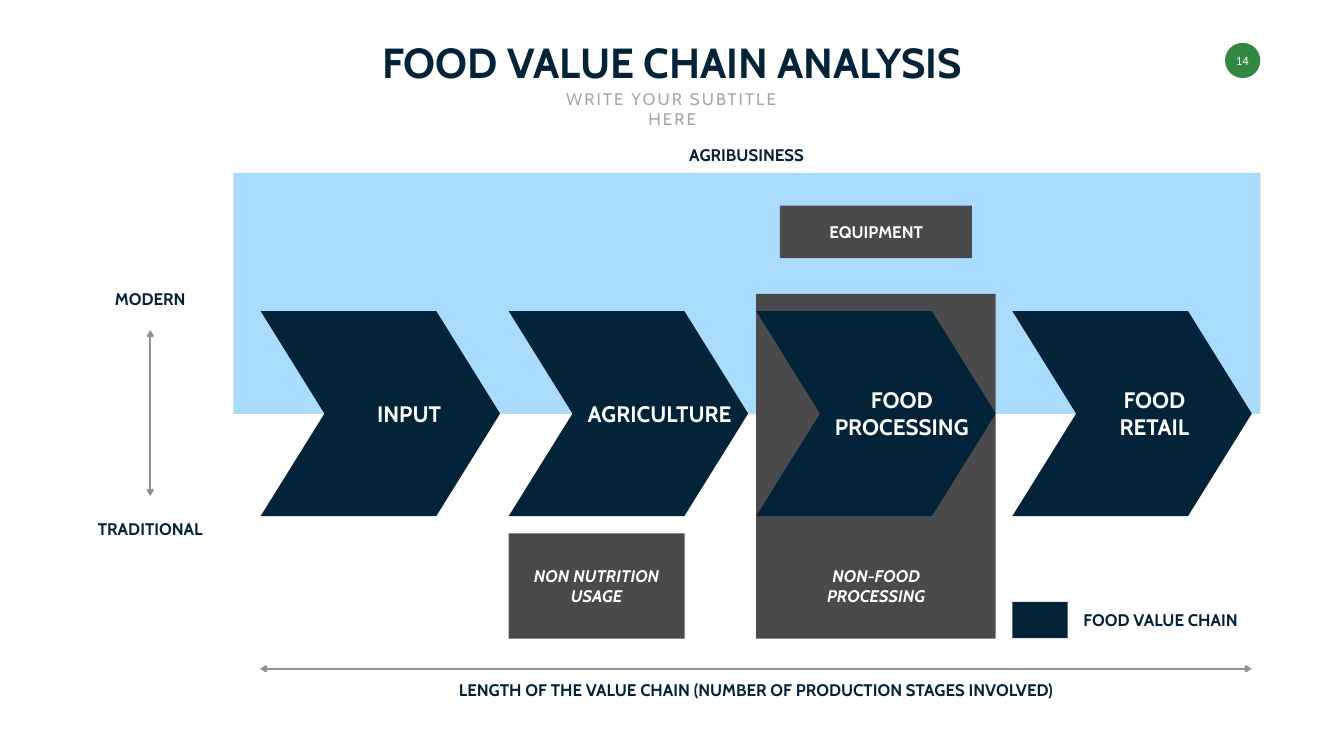
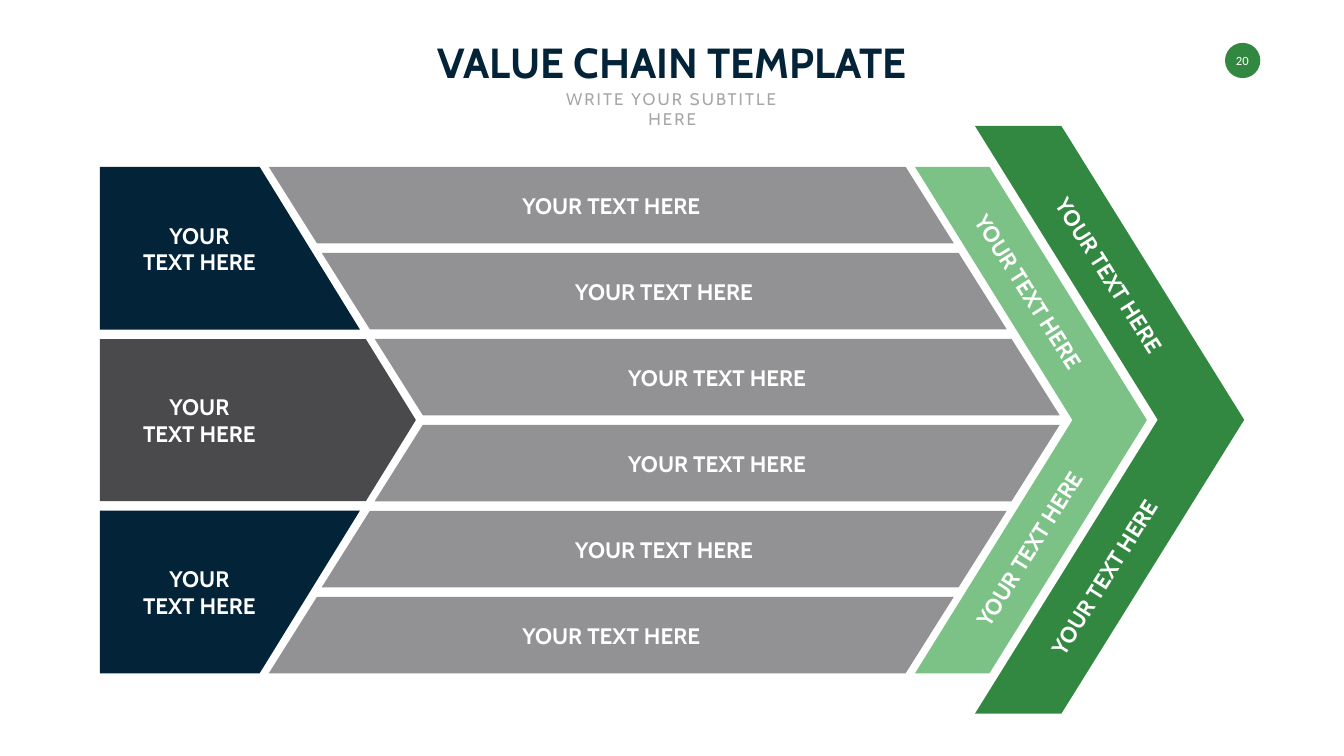
from lxml.etree import SubElement
from pptx import Presentation
from pptx.dml.color import RGBColor
from pptx.enum.shapes import MSO_CONNECTOR, MSO_SHAPE
from pptx.enum.text import MSO_ANCHOR, MSO_AUTO_SIZE, PP_ALIGN
from pptx.oxml.ns import qn
from pptx.util import Pt

NAVY = RGBColor(0x02, 0x23, 0x38)
CHARCOAL = RGBColor(0x4A, 0x4A, 0x4C)
GRAY = RGBColor(0x92, 0x92, 0x94)
PALE_GRAY = RGBColor(0xA6, 0xA6, 0xA6)
GREEN = RGBColor(0x32, 0x88, 0x40)
LIGHT_GREEN = RGBColor(0x7C, 0xC2, 0x87)
SKY = RGBColor(0xA8, 0xDB, 0xFC)
WHITE = RGBColor(0xFF, 0xFF, 0xFF)

TITLE = {"name": "Cabin", "size": Pt(60), "bold": True}
HEADING = {"name": "Cabin", "size": Pt(32), "bold": True}
LABEL = {"name": "Cabin", "size": Pt(24), "bold": True}
NOTE = {**LABEL, "italic": True}
SUBTITLE = {"name": "Cabin", "size": Pt(24)}
NUMBER = {"name": "Calibri", "size": Pt(18)}

SLIDE_WIDTH, SLIDE_HEIGHT = 1919.5, 1080
LINE_SPACING = 1.215
INSETS = 7.2


class Deck:
    """Holds the shared style and the slide being drawn."""

    def __init__(self):
        self.presentation = Presentation()
        self.presentation.slide_width = Pt(SLIDE_WIDTH)
        self.presentation.slide_height = Pt(SLIDE_HEIGHT)
        self.slide = None

    def start_slide(self, title, title_width, number):
        self.slide = self.presentation.slides.add_slide(self.presentation.slide_layouts[6])
        self.shape(MSO_SHAPE.OVAL, 1749.6, 61.2, 50.4, 50.4, GREEN)
        self.text(number, 1774.4, 86.4, 41, NUMBER)
        self.text(title, 959.8, 88.2, title_width, TITLE, NAVY, anchor=MSO_ANCHOR.TOP)
        self.text("WRITE YOUR SUBTITLE HERE", 960, 141.8, 391, SUBTITLE, PALE_GRAY,
                  anchor=MSO_ANCHOR.TOP, wrap=True, spacing=3)

    def paint(self, shape, color):
        shape.shadow.inherit = False
        shape.fill.solid()
        shape.fill.fore_color.rgb = color
        shape.line.fill.background()

    def shape(self, kind, left, top, width, height, color, adjustment=None, flip=False):
        shape = self.slide.shapes.add_shape(kind, Pt(left), Pt(top), Pt(width), Pt(height))
        self.paint(shape, color)
        if adjustment is not None:
            shape.adjustments[0] = adjustment
        if flip:
            shape._element.spPr.find(qn("a:xfrm")).set("flipV", "1")

    def outline(self, points, color):
        start, *others = [(Pt(x), Pt(y)) for x, y in points]
        builder = self.slide.shapes.build_freeform(*start)
        builder.add_line_segments(others, close=True)
        self.paint(builder.convert_to_shape(), color)

    def text(self, text, center_x, center_y, width, style, color=WHITE, align=PP_ALIGN.CENTER,
             anchor=MSO_ANCHOR.MIDDLE, wrap=False, rotation=0, spacing=0):
        """Place a text box by its centre; its height follows from the lines."""
        lines = text.split("\n")
        height = len(lines) * style["size"].pt * LINE_SPACING + INSETS
        box = self.slide.shapes.add_textbox(
            Pt(center_x - width / 2), Pt(center_y - height / 2), Pt(width), Pt(height))
        box.rotation = rotation
        frame = box.text_frame
        frame.word_wrap = wrap
        frame.auto_size = MSO_AUTO_SIZE.SHAPE_TO_FIT_TEXT
        frame.vertical_anchor = anchor
        for index, line in enumerate(lines):
            paragraph = frame.add_paragraph() if index else frame.paragraphs[0]
            paragraph.alignment = align
            run = paragraph.add_run()
            run.text = line
            for attribute, value in style.items():
                setattr(run.font, attribute, value)
            run.font.color.rgb = color
            if spacing:
                run._r.get_or_add_rPr().set("spc", str(spacing * 100))

    def double_arrow(self, x1, y1, x2, y2):
        connector = self.slide.shapes.add_connector(
            MSO_CONNECTOR.STRAIGHT, Pt(x1), Pt(y1), Pt(x2), Pt(y2))
        connector.line.color.rgb = GRAY
        connector.line.width = Pt(3)
        line = connector.line._get_or_add_ln()
        for end in ("a:headEnd", "a:tailEnd"):
            SubElement(line, qn(end), type="arrow")
        SubElement(connector._element.spPr, qn("a:effectLst"))


def draw_food_chain(deck):
    deck.start_slide("FOOD VALUE CHAIN ANALYSIS", 914, "14")
    deck.shape(MSO_SHAPE.RECTANGLE, 333.4, 247, 1466.6, 344.2, SKY)
    deck.shape(MSO_SHAPE.RECTANGLE, 1080, 419.8, 342, 492.5, CHARCOAL)

    stages = [
        ("INPUT", 372.2, 584.3, 110),
        ("AGRICULTURE", 726.5, 942.1, 241),
        ("FOOD\nPROCESSING", 1080, 1288, 222),
        ("FOOD\nRETAIL", 1445.8, 1648.8, 121),
    ]
    for name, left, center, width in stages:
        deck.shape(MSO_SHAPE.CHEVRON, left, 444.4, 342, 293, NAVY, 0.311)
        deck.text(name, center, 590.6, width, HEADING)

    deck.shape(MSO_SHAPE.RECTANGLE, 726.5, 761.8, 251.3, 150.5, CHARCOAL)
    deck.shape(MSO_SHAPE.RECTANGLE, 1113.8, 293.8, 274.3, 74.9, CHARCOAL)
    deck.text("EQUIPMENT", 1251.4, 331.2, 154, LABEL)
    deck.text("NON-FOOD\nPROCESSING", 1251.4, 837, 170, NOTE)
    deck.text("NON NUTRITION\nUSAGE", 852.1, 837, 207, NOTE)

    deck.shape(MSO_SHAPE.RECTANGLE, 1445.8, 859.7, 79.2, 51.8, NAVY)
    deck.text("FOOD VALUE CHAIN", 1665.4, 885.6, 250.6, LABEL, NAVY, align=PP_ALIGN.LEFT)

    axis_labels = [
        ("AGRIBUSINESS", 1066.3, 221.8, 190),
        ("TRADITIONAL", 214.6, 755.3, 176),
        ("MODERN", 214.6, 426.2, 120),
        ("LENGTH OF THE VALUE CHAIN (NUMBER OF PRODUCTION STAGES INVOLVED)", 1079.6, 985, 924),
    ]
    for name, center_x, center_y, width in axis_labels:
        deck.text(name, center_x, center_y, width, LABEL, NAVY)
    deck.double_arrow(214.6, 471.6, 214.6, 708.5)
    deck.double_arrow(1787.8, 955.4, 371.5, 955.4)


def draw_template(deck):
    placeholder, placeholder_width = "YOUR TEXT HERE", 277
    deck.start_slide("VALUE CHAIN TEMPLATE", 737, "20")
    deck.shape(MSO_SHAPE.CHEVRON, 1306.8, 238.3, 331.2, 723.6, LIGHT_GREEN, 0.679)
    deck.shape(MSO_SHAPE.CHEVRON, 1392.5, 180, 384.5, 839.5, GREEN, 0.679)

    rows, row_width, row_height = 6, 978.5, 109.4
    for row in range(rows):
        left = 383.8 + 75.6 * min(row, rows - 1 - row)
        top = 238.3 + 122.85 * row
        deck.shape(MSO_SHAPE.PARALLELOGRAM, left, top, row_width, row_height, GRAY, 0.63,
                   flip=row < rows / 2)
        deck.text(placeholder, left + row_width / 2, top + row_height / 2,
                  placeholder_width, HEADING)

    left = 142.6
    blocks = [
        (NAVY, 355, [(left, 238.3), (370.8, 238.3), (514.1, 470.9), (left, 470.9)]),
        (CHARCOAL, 600.3, [(left, 484.6), (522.7, 484.6), (594, 600), (522.7, 715.7),
                           (left, 715.7)]),
        (NAVY, 845.3, [(left, 729.4), (514.1, 729.4), (370.8, 961.9), (left, 961.9)]),
    ]
    for color, center_y, points in blocks:
        deck.outline(points, color)
        deck.text("YOUR\nTEXT HERE", 284.8, center_y, 179, HEADING)

    downward, upward = 57.6, 302.1
    slanted = [
        (1469.2, 416.2, downward),
        (1469.2, 784.1, upward),
        (1584.4, 393.1, downward),
        (1576.4, 824.4, upward),
    ]
    for center_x, center_y, rotation in slanted:
        deck.text(placeholder, center_x, center_y, placeholder_width, HEADING, rotation=rotation)


def main():
    deck = Deck()
    draw_food_chain(deck)
    draw_template(deck)
    deck.presentation.save("out.pptx")


if __name__ == "__main__":
    main()
